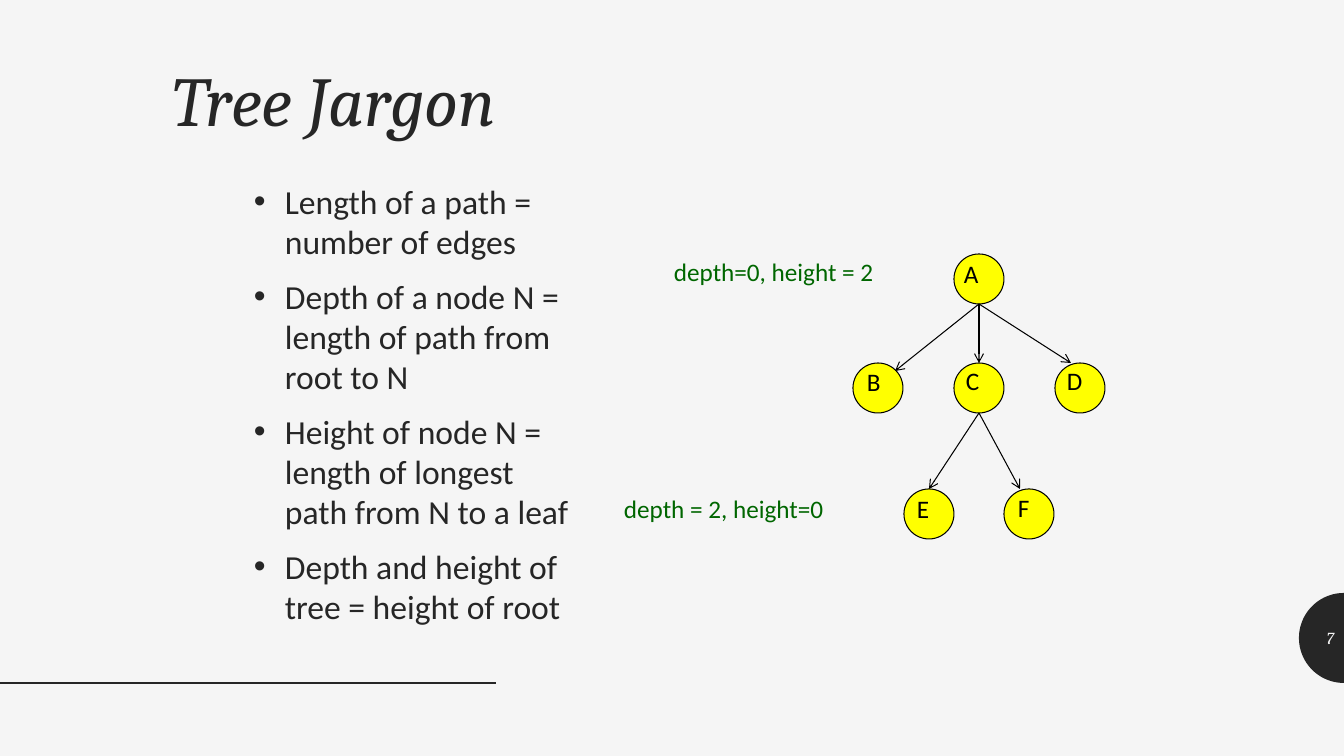
from math import cos, pi, sin

from lxml.etree import SubElement
from pptx import Presentation
from pptx.dml.color import RGBColor
from pptx.enum.shapes import MSO_CONNECTOR as Connector, MSO_SHAPE as Preset
from pptx.enum.text import MSO_ANCHOR as Anchor, PP_ALIGN as Align
from pptx.oxml.ns import qn
from pptx.util import Pt

# Content
TITLE = "Tree Jargon"
PAGE_NUMBER = "7"
DEFINITIONS = [
    "Length of a path = number of edges",
    "Depth of a node N = length of path from root to N",
    "Height of node N = length of longest path from N to a leaf",
    "Depth and height of tree = height of root",
]
# name: (level, columns right of the root, label shift from the node's corner)
NODES = {
    "A": (0, 0, (0, -1)),
    "B": (1, -1, (4, -2)),
    "C": (1, 0, (2, -3)),
    "D": (1, 1, (2, -3)),
    "E": (2, -0.5, (3, -1)),
    "F": (2, 0.5, (4, -2)),
}
# parent, child, arrow tip from the child's corner
EDGES = [
    ("A", "B", (42, 8)),
    ("A", "C", (25, 0)),
    ("C", "E", (25, 0)),
    ("C", "F", (16, 0)),
    ("A", "D", (16, 0)),
]
# text, left, top, width, wraps
NOTES = [
    ("depth=0, height = 2", 664, 251, 225, False),
    ("depth = 2, height=0", 614, 488, 283, True),
]


class Theme:
    paper, ink = "F5F5F5", "262626"
    node, outline, note = "FFFF00", "000000", "006600"
    heading_font, body_font = "Cambria", "Calibri"
    title_size, body_size, label_size, number_size = 50, 24, 18, 12
    rule_width, thin_width = 2, 0.75


# Layout in pixels
SCALE = 9071
WIDTH, HEIGHT = 1344, 756
NODE_SIZE, COLUMN_STEP, ROOT_LEFT = 50, 101, 954
LEVEL_TOPS = [254, 363, 489]
LABEL_WIDTH, LABEL_HEIGHT = 44, 40
RULE_Y, RULE_END = 683, 496
BADGE_Y, BADGE_RADIUS, BADGE_STEPS = 638, 45, 48
BULLET_INDENT = 31


def px(value):
    return round(value * SCALE)


def color(code):
    return RGBColor.from_string(code)


def add_text(box_at, lines, font, size, ink, italic=False, align=Align.LEFT,
             anchor=Anchor.TOP, wrap=True):
    box = page.shapes.add_textbox(*map(px, box_at))
    frame = box.text_frame
    frame.word_wrap, frame.vertical_anchor = wrap, anchor
    for index, line in enumerate(lines):
        para = frame.add_paragraph() if index else frame.paragraphs[0]
        para.alignment = align
        span = para.add_run()
        span.text = line
        span.font.name, span.font.size = font, Pt(size)
        span.font.italic = italic
        span.font.color.rgb = color(ink)
    return frame


def add_line(start, end, ink, width, arrow=False):
    line = page.shapes.add_connector(Connector.STRAIGHT, *map(px, start + end))
    line.line.color.rgb, line.line.width = color(ink), Pt(width)
    if arrow:
        SubElement(line.line._get_or_add_ln(), qn("a:tailEnd"), type="arrow")
    SubElement(line._element.spPr, qn("a:effectLst"))


def node_corner(name):
    level, column, _ = NODES[name]
    return round(ROOT_LEFT + column * COLUMN_STEP), LEVEL_TOPS[level]


deck = Presentation()
deck.slide_width, deck.slide_height = px(WIDTH), px(HEIGHT)
page = deck.slides.add_slide(deck.slide_layouts[6])
page.background.fill.solid()
page.background.fill.fore_color.rgb = color(Theme.paper)

# Half-round page badge and bottom rule
angles = [pi / 2 + pi * step / BADGE_STEPS for step in range(BADGE_STEPS + 1)]
arc = [(px(WIDTH + BADGE_RADIUS * cos(a)), px(BADGE_Y + BADGE_RADIUS * sin(a)))
       for a in angles]
outline = page.shapes.build_freeform(*arc[0])
outline.add_line_segments(arc[1:], close=True)
badge = outline.convert_to_shape()
badge.shadow.inherit = False
badge.fill.solid()
badge.fill.fore_color.rgb = color(Theme.ink)
badge.line.fill.background()
add_line((0, RULE_Y), (RULE_END, RULE_Y), Theme.ink, Theme.rule_width)
add_text((WIDTH - BADGE_RADIUS, 618, BADGE_RADIUS, 40), [PAGE_NUMBER],
         Theme.heading_font, Theme.number_size, Theme.paper, italic=True,
         align=Align.RIGHT, anchor=Anchor.MIDDLE)

# Title and definitions
title = add_text((84, 61, 422, 546), [TITLE], Theme.heading_font,
                 Theme.title_size, Theme.ink, italic=True, align=Align.RIGHT)
title.paragraphs[0].line_spacing = 0.9
body = add_text((244, 176, 340, 496), DEFINITIONS, Theme.body_font,
                Theme.body_size, Theme.ink)
for para in body.paragraphs:
    para.space_before = Pt(10)
    props = para._p.get_or_add_pPr()
    props.set("marL", str(px(BULLET_INDENT)))
    props.set("indent", str(-px(BULLET_INDENT)))
    SubElement(props, qn("a:buFont"), typeface="Arial")
    SubElement(props, qn("a:buChar"), char="•")

# Tree: nodes, edges, then labels on top
for name in NODES:
    node = page.shapes.add_shape(
        Preset.OVAL, *map(px, node_corner(name) + (NODE_SIZE, NODE_SIZE)))
    node.shadow.inherit = False
    node.fill.solid()
    node.fill.fore_color.rgb = color(Theme.node)
    node.line.color.rgb = color(Theme.outline)
    node.line.width = Pt(Theme.thin_width)
for parent, child, (tip_x, tip_y) in EDGES:
    left, top = node_corner(parent)
    child_left, child_top = node_corner(child)
    add_line((left + NODE_SIZE // 2, top + NODE_SIZE),
             (child_left + tip_x, child_top + tip_y),
             Theme.outline, Theme.thin_width, arrow=True)
for name, (_, _, (shift_x, shift_y)) in NODES.items():
    left, top = node_corner(name)
    add_text((left + shift_x, top + shift_y, LABEL_WIDTH, LABEL_HEIGHT),
             [name], Theme.body_font, Theme.label_size, Theme.outline)

# Depth and height notes
for text, left, top, width, wraps in NOTES:
    add_text((left, top, width, LABEL_HEIGHT), [text], Theme.body_font,
             Theme.label_size, Theme.note, wrap=wraps)

deck.save("out.pptx")
